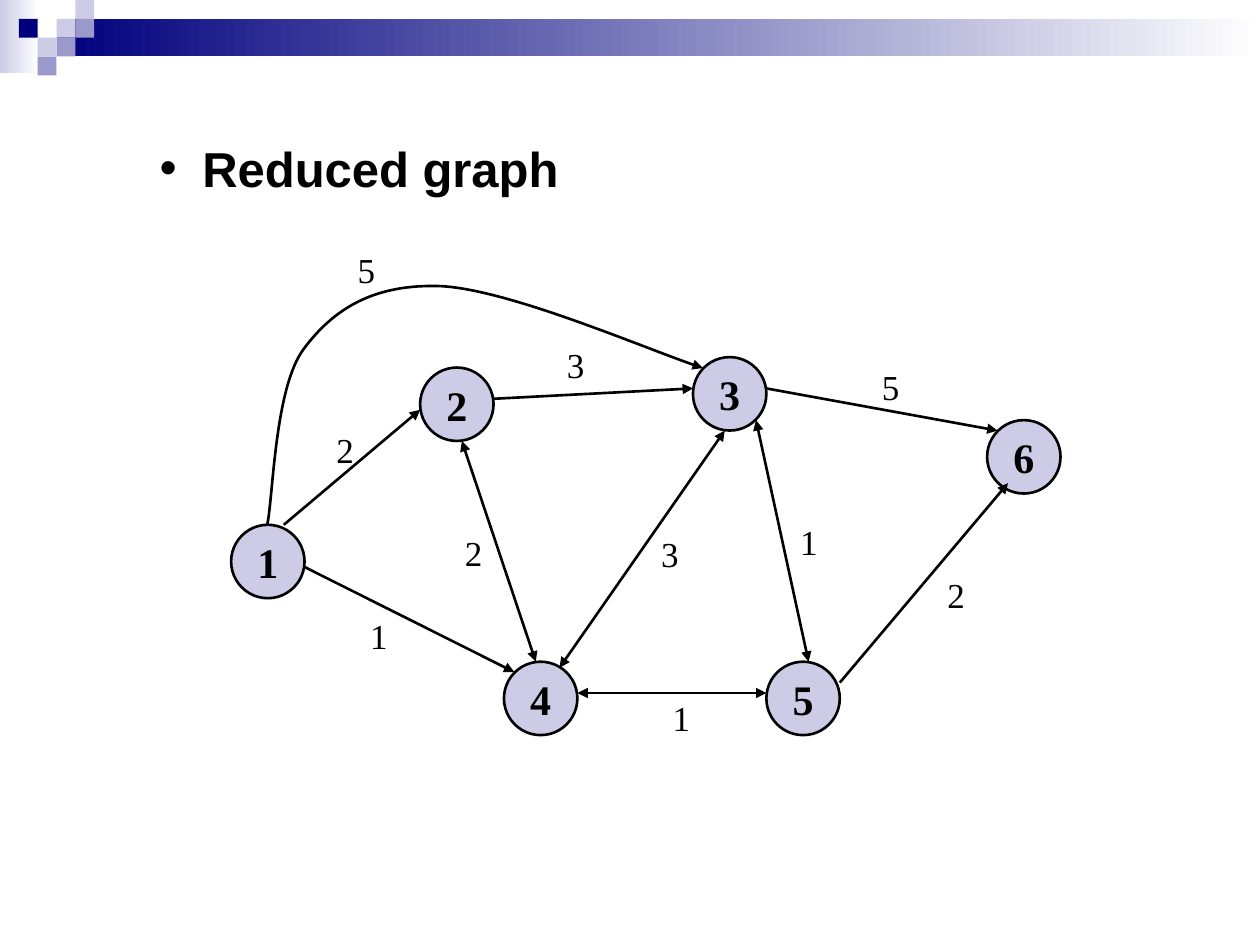
from pptx import Presentation
from pptx.dml.color import RGBColor
from pptx.enum.shapes import MSO_CONNECTOR, MSO_SHAPE
from pptx.enum.text import MSO_ANCHOR, MSO_AUTO_SIZE, PP_ALIGN
from pptx.oxml.ns import qn
from pptx.util import Cm, Pt
from lxml import etree

RECT, OVAL = MSO_SHAPE.RECTANGLE, MSO_SHAPE.OVAL
STRAIGHT = MSO_CONNECTOR.STRAIGHT
MIDDLE = MSO_ANCHOR.MIDDLE
FIT_SHAPE = MSO_AUTO_SIZE.SHAPE_TO_FIT_TEXT
CENTER, LEFT = PP_ALIGN.CENTER, PP_ALIGN.LEFT

BLACK, WHITE = "000000", "FFFFFF"
NAVY, PERIWINKLE, LAVENDER = "00007D", "9999CC", "CCCCE6"
SERIF, SANS = "Times New Roman", "Arial"

SQUARE = 0.38
SQUARES = [(3, 1, LAVENDER), (4, 0, LAVENDER), (4, 1, PERIWINKLE),
           (2, 2, LAVENDER), (1, 1, NAVY), (3, 2, PERIWINKLE),
           (2, 3, PERIWINKLE)]

NODE_SIZE = 1.48
NODES = {"2": (3.81, 2.53), "3": (9.31, 2.32), "1": (0, 5.7),
         "4": (5.5, 8.46), "6": (15.24, 3.59), "5": (10.79, 8.46)}

ONE_WAY, TWO_WAY = ("tailEnd",), ("headEnd", "tailEnd")
EDGES = [
    ((1.06, 5.7), (3.81, 3.38), ONE_WAY, "2", (1.87, 3.63)),
    ((5.29, 3.16), (9.31, 2.95), ONE_WAY, "3", (6.52, 1.93)),
    ((10.79, 2.95), (15.45, 3.8), ONE_WAY, "5", (12.87, 2.36)),
    ((6.98, 9.09), (10.79, 9.09), TWO_WAY, "1", (8.65, 9.04)),
    ((1.48, 6.55), (5.71, 8.67), ONE_WAY, "1", (2.55, 7.39)),
    ((12.27, 8.88), (15.66, 4.86), ONE_WAY, "2", (14.19, 6.55)),
    ((6.14, 8.46), (4.65, 4.01), TWO_WAY, "2", (4.46, 5.71)),
    ((9.95, 3.8), (6.62, 8.58), TWO_WAY, "3", (8.42, 5.74)),
    ((10.58, 3.59), (11.64, 8.46), TWO_WAY, "1", (11.22, 5.48)),
]
ARC = [(0.73, 5.69), (0.85, 5.1), (0.88, 2.94), (1.46, 2.16),
       (2.07, 1.34), (2.88, 0.84), (4.23, 0.89),
       (5.58, 0.96), (8.42, 2.18), (9.51, 2.54)]
ARC_LABEL = ("5", (2.3, 0))


def color(value):
    return RGBColor.from_string(value)


def style_line(sp, ends=()):
    sp.line.color.rgb = color(BLACK)
    sp.line.width = Pt(1.5)
    ln = sp.line._get_or_add_ln()
    for end in ends:
        etree.SubElement(ln, qn("a:" + end), type="triangle")


def add_panel(s, shape, x, y, w, h, fill):
    sp = s.shapes.add_shape(shape, Cm(x), Cm(y), Cm(w), Cm(h))
    sp.shadow.inherit = False
    sp.line.fill.background()
    if isinstance(fill, str):
        sp.fill.solid()
        sp.fill.fore_color.rgb = color(fill)
    else:
        sp.fill.gradient()
        sp.fill.gradient_angle = 0
        for stop, value in zip(sp.fill.gradient_stops, fill):
            stop.color.rgb = color(value)
    return sp


def set_text(sp, text, font, size, bold, align):
    tf = sp.text_frame
    tf.text = text
    p = tf.paragraphs[0]
    p.alignment = align
    r = p.runs[0]
    r.font.name, r.font.size, r.font.bold = font, Pt(size), bold
    r.font.color.rgb = color(BLACK)
    return tf


def add_label(s, text, x, y):
    sp = s.shapes.add_textbox(Cm(x), Cm(y), Cm(0.86), Cm(1.12))
    tf = set_text(sp, text, SERIF, 20, False, LEFT)
    tf.word_wrap = False
    tf.auto_size = FIT_SHAPE


def add_node(s, name, x, y):
    sp = add_panel(s, OVAL, x, y, NODE_SIZE, NODE_SIZE, LAVENDER)
    style_line(sp)
    tf = set_text(sp, name, SERIF, 24, True, CENTER)
    tf.word_wrap = False
    tf.vertical_anchor = MIDDLE


def add_edge(s, start, end, ends):
    sp = s.shapes.add_connector(STRAIGHT, *map(Cm, start + end))
    style_line(sp, ends)
    etree.SubElement(sp._element.spPr, qn("a:effectLst"))


def add_curve(s, points):
    start, *rest = [(Cm(x), Cm(y)) for x, y in points]
    builder = s.shapes.build_freeform(*start)
    builder.add_line_segments(rest, close=False)
    sp = builder.convert_to_shape()
    segments = list(sp._element.iter(qn("a:lnTo")))
    for i in range(0, len(segments), 3):
        bezier = etree.Element(qn("a:cubicBezTo"))
        segments[i].addprevious(bezier)
        for segment in segments[i:i + 3]:
            bezier.append(segment[0])
            segment.getparent().remove(segment)
    sp.fill.background()
    style_line(sp, ONE_WAY)
    sp.shadow.inherit = False


def add_header(s, x, y, w):
    add_panel(s, RECT, x, y, 0.79, 1.47, (LAVENDER, WHITE))
    bar_x = 3 * SQUARE
    add_panel(s, RECT, x + bar_x, y + SQUARE, w - bar_x, 2 * SQUARE,
              (NAVY, WHITE))
    for col, row, fill in SQUARES:
        add_panel(s, RECT, x + col * SQUARE, y + row * SQUARE,
                  SQUARE, SQUARE, fill)


def add_graph(s, x, y):
    def place(point):
        return x + point[0], y + point[1]

    for name, point in NODES.items():
        add_node(s, name, *place(point))
    for start, end, ends, _, _ in EDGES:
        add_edge(s, place(start), place(end), ends)
    add_curve(s, [place(point) for point in ARC])
    for text, point in [ARC_LABEL] + [edge[3:] for edge in EDGES]:
        add_label(s, text, *place(point))


def add_heading(s, x, y, w, h):
    sp = s.shapes.add_textbox(Cm(x), Cm(y), Cm(w), Cm(h))
    tf = set_text(sp, "Reduced graph", SANS, 28, True, LEFT)
    tf.word_wrap = True
    tf.auto_size = FIT_SHAPE
    p = tf.paragraphs[0]
    p.line_spacing = 1.1
    p.space_before = Pt(7)
    pPr = p._p.get_or_add_pPr()
    indent = Cm(0.86)
    pPr.set("marL", str(indent))
    pPr.set("indent", str(-indent))
    bullet_color = etree.SubElement(pPr, qn("a:buClr"))
    etree.SubElement(bullet_color, qn("a:srgbClr"), val=BLACK)
    etree.SubElement(pPr, qn("a:buFont"), typeface=SANS)
    etree.SubElement(pPr, qn("a:buChar"), char="•")


def main():
    prs = Presentation()
    prs.slide_width, prs.slide_height = Cm(25.4), Cm(19.05)
    s = prs.slides.add_slide(prs.slide_layouts[6])
    add_header(s, 0, 0, 25.4)
    add_graph(s, 4.66, 4.88)
    add_heading(s, 2.97, 2.54, 9.32, 1.57)
    prs.save("out.pptx")


if __name__ == "__main__":
    main()
